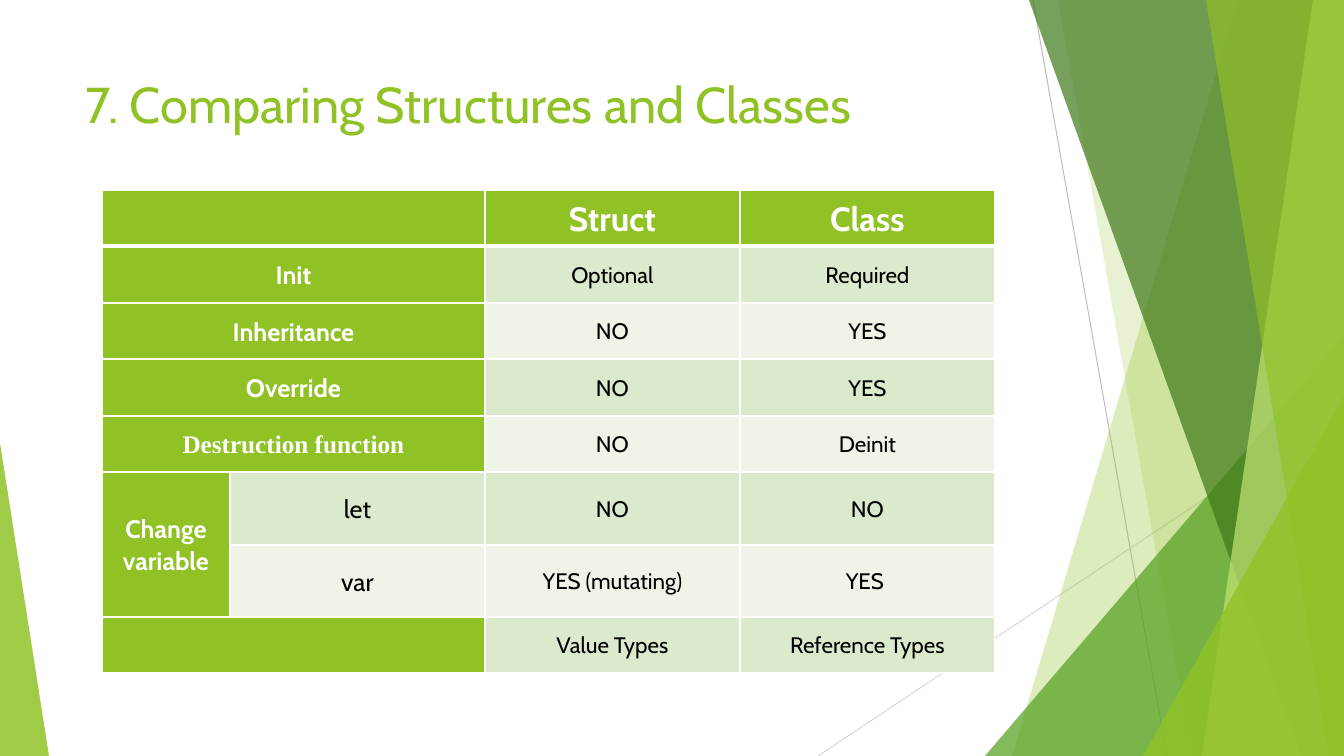
from lxml import etree
from pptx import Presentation
from pptx import util as u
from pptx.dml.color import RGBColor
from pptx.enum import shapes, text
from pptx.oxml.ns import qn

PX = 914400 / 100.8
W, H = 1344, 756
GREEN, WHITE, BLACK = "90C226", "FFFFFF", "000000"
BANDS = ["EEF4E8", "DBE9CD"]


def emu(*px):
    return [u.Emu(round(v * PX)) for v in px]


def paint(fill, color, alpha=None):
    """Fill with a hex colour, at alpha percent opacity if given."""
    fill.solid()
    fill.fore_color.rgb = RGBColor.from_string(color)
    return alpha


prs = Presentation()
prs.slide_width, prs.slide_height = emu(W, H)
s = prs.slides.add_slide(prs.slide_layouts[5])

# Thin lines behind the facets
for x1, y1, x2, y2, color in [(1033, 0, 1167, H, "BFBFBF"),
                              (W, 406, 818, H, "D9D9D9")]:
    line = s.shapes.add_connector(shapes.MSO_CONNECTOR.STRAIGHT, *emu(x1, y1, x2, y2))
    line.line.width = u.Pt(0.75)
    paint(line.line.fill, color)
    etree.SubElement(line._element.spPr, qn("a:effectLst"))

# Facets: bands give top and bottom x of their slanted edge,
# triangles give left, top, width and apex position
facets = [
    ("band", (1238, 1012), GREEN, 30),
    ("band", (1058, 1192), GREEN, 20),
    ("triangle", (985, 336, 359, 1), "54A021", 72),
    ("band", (1029, 1301), "3F7819", 70),
    ("band", (1313, 1202), "C0E474", 70),
    ("band", (1206, 1329), GREEN, 65),
    ("triangle", (1143, 396, 201, 1), GREEN, 80),
    ("triangle", (0, 443, 49, 0), GREEN, 85),
]
for kind, geometry, color, alpha in facets:
    if kind == "band":
        top_x, bottom_x = geometry
        outline = s.shapes.build_freeform(top_x, 0, scale=PX)
        outline.add_line_segments([(W, 0), (W, H), (bottom_x, H)], close=True)
        sp = outline.convert_to_shape()
    else:
        left, top, width, apex = geometry
        sp = s.shapes.add_shape(shapes.MSO_SHAPE.ISOSCELES_TRIANGLE,
                                *emu(left, top, width, H - top))
        sp.adjustments[0] = apex
    sp.shadow.inherit = False
    sp.line.fill.background()
    paint(sp.fill, color)
    rgb = sp._element.spPr.find(".//" + qn("a:srgbClr"))
    etree.SubElement(rgb, qn("a:alpha"), val=str(alpha * 1000))

# Title
title = s.shapes.title
title.left, title.top, title.width, title.height = emu(75, 68, 948, 86)
tf = title.text_frame
tf.word_wrap = True
tf.auto_size = text.MSO_AUTO_SIZE.NONE
tf.vertical_anchor = text.MSO_ANCHOR.TOP
p = tf.paragraphs[0]
p.alignment = text.PP_ALIGN.LEFT
r = p.add_run()
r.text = "7. Comparing Structures and Classes"
r.font.size, r.font.name = u.Pt(36), "Cabin"
r.font.color.rgb = RGBColor.from_string(GREEN)

# Comparison table
rows = [
    ("", "", "Struct", "Class"),
    ("Init", "", "Optional", "Required"),
    ("Inheritance", "", "NO", "YES"),
    ("Override", "", "NO", "YES"),
    ("Destruction function", "", "NO", "Deinit"),
    ("Change variable", "let", "NO", "NO"),
    ("", "var", "YES (mutating)", "YES "),
    ("", "", "Value Types", "Reference Types"),
]
col_widths = [128, 255, 255, 255]
row_heights = [56, 57, 56, 57, 56, 73, 72, 56]
table = s.shapes.add_table(len(rows), len(col_widths),
                           *emu(102, 190, sum(col_widths), sum(row_heights))).table
for column, width in zip(table.columns, emu(*col_widths)):
    column.width = width
for row, height in zip(table.rows, emu(*row_heights)):
    row.height = height

for i, row in enumerate(rows):
    for j, label in enumerate(row):
        cell = table.cell(i, j)
        is_head = i == 0 or j == 0 or (j == 1 and not label)
        cell.margin_left, cell.margin_right = emu(7, 7)
        cell.margin_top = cell.margin_bottom = 0
        cell.vertical_anchor = text.MSO_ANCHOR.MIDDLE

        for side in "LRTB":
            thick = (i, side) in [(0, "B"), (1, "T")]
            border = etree.SubElement(cell._tc.get_or_add_tcPr(), qn("a:ln" + side),
                                      w=str(u.Pt(3 if thick else 1)))
            solid = etree.SubElement(border, qn("a:solidFill"))
            etree.SubElement(solid, qn("a:srgbClr"), val=WHITE)
        paint(cell.fill, GREEN if is_head else BANDS[i % 2])

        if not label:
            continue
        p = cell.text_frame.paragraphs[0]
        p.alignment = text.PP_ALIGN.CENTER
        p.line_spacing, p.space_after = 1.07, u.Pt(8)
        r = p.add_run()
        r.text = label
        r.font.name = "Times New Roman" if label == "Destruction function" else "Cabin"
        r.font.size = u.Pt(24 if i == 0 else 18 if j < 2 else 16)
        r.font.bold = is_head
        r.font.color.rgb = RGBColor.from_string(WHITE if is_head else BLACK)

for i in (0, 1, 2, 3, 4, 7):
    table.cell(i, 0).merge(table.cell(i, 1))
table.cell(5, 0).merge(table.cell(6, 0))

prs.save("out.pptx")
